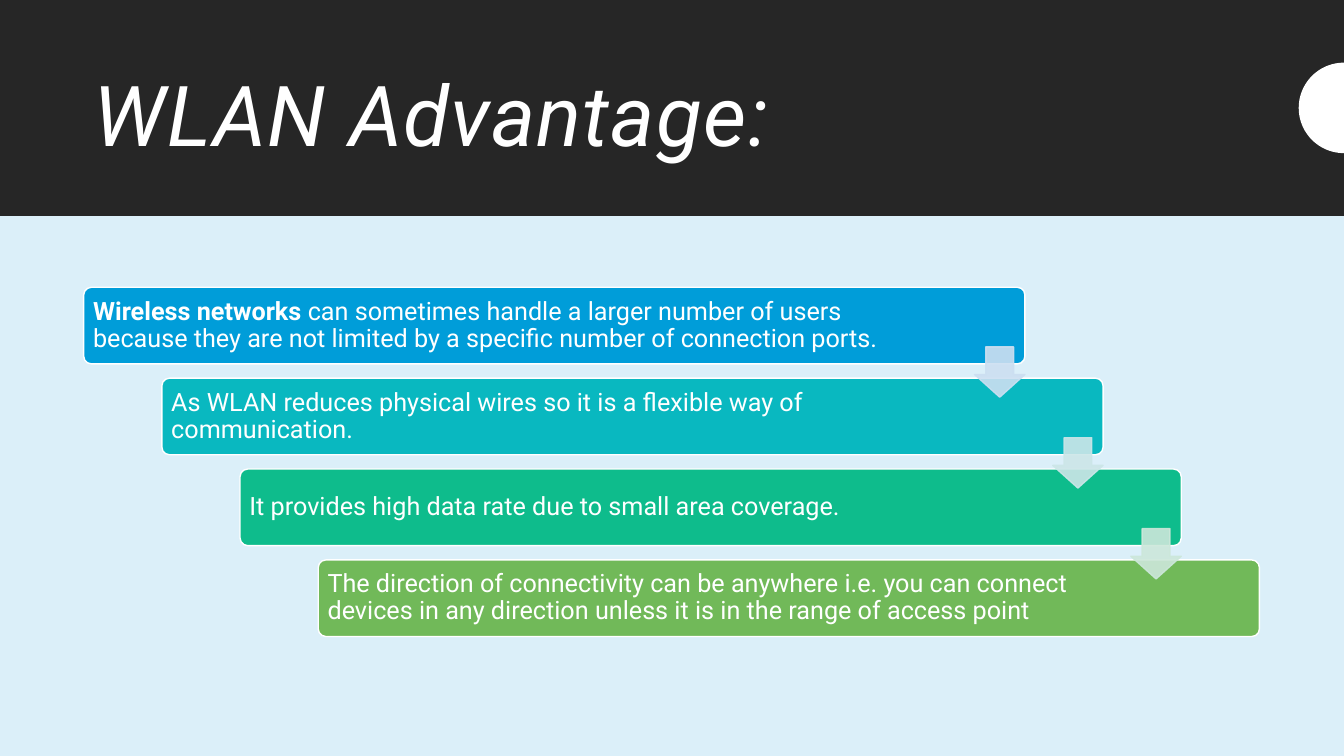
from math import cos, pi, sin

from lxml.etree import SubElement as Sub
from pptx import Presentation as Deck
from pptx.dml.color import RGBColor as Color
from pptx.enum.shapes import MSO_SHAPE as Kind
from pptx.enum.text import MSO_ANCHOR as Anchor, MSO_AUTO_SIZE as Fit, PP_ALIGN as Align
from pptx.oxml.ns import qn
from pptx.util import Cm, Pt

FONT = "Roboto"
WHITE = Color(0xFF, 0xFF, 0xFF)
DARK = Color(0x26, 0x26, 0x26)
PALE = Color(0xDB, 0xEF, 0xF9)
BLUE = Color(0x00, 0x9D, 0xD9)
TEAL = Color(0x09, 0xB8, 0xC0)
MINT = Color(0x0E, 0xBC, 0x8C)
LEAF = Color(0x71, 0xB9, 0x59)
ICE = Color(0xCC, 0xDF, 0xF1)
MIST = Color(0xCC, 0xE6, 0xE8)
FOAM = Color(0xCC, 0xE7, 0xDA)

WIDE, HIGH = 33.87, 19.05
LEFT, TOP = 2.11, 7.24
BAR_W, BAR_H = 23.72, 1.93
STEP_X, STEP_Y = 1.97, 2.29
ARROW, DROP = 1.27, 1.5

BARS = [
    (BLUE, 2.34, [("Wireless networks", True),
                  (" can sometimes handle a larger number of users because they are "
                   "not limited by a specific number of connection ports.", False)]),
    (TEAL, 3.45, [("As WLAN reduces physical wires so it is a flexible way of "
                   "communication.", False)]),
    (MINT, 3.45, [("It provides high data rate due to small area coverage.", False)]),
    (LEAF, 3.45, [("The direction of connectivity can be anywhere i.e. you can connect "
                   "devices in any direction unless it is in the range of access point",
                   False)]),
]


def write(frame, parts, size=18, color=WHITE, italic=False, track=0, pad=None):
    frame.word_wrap = True
    frame.auto_size = Fit.NONE
    frame.vertical_anchor = Anchor.MIDDLE
    if pad:
        (frame.margin_left, frame.margin_top,
         frame.margin_right, frame.margin_bottom) = map(Cm, pad)
    para = frame.paragraphs[0]
    para.alignment = Align.LEFT
    para.line_spacing = 0.9
    for text, bold in parts:
        run = para.add_run()
        run.text = text
        font = run.font
        font.name, font.size, font.bold, font.italic = FONT, Pt(size), bold, italic
        font.color.rgb = color
        if track:
            run._r.get_or_add_rPr().set("spc", str(track))


def paint(shape, fill, line=None):
    shape.shadow.inherit = False
    shape.fill.solid()
    shape.fill.fore_color.rgb = fill
    if line is None:
        shape.line.fill.background()
    else:
        shape.line.color.rgb = line
        shape.line.width = Pt(1)


def add(slide, kind, left, top, width, height, fill, line=None, tune=()):
    shape = slide.shapes.add_shape(kind, Cm(left), Cm(top), Cm(width), Cm(height))
    for spot, value in enumerate(tune):
        shape.adjustments[spot] = value
    paint(shape, fill, line)
    return shape


def fade(shape, alpha):
    for color in shape._element.spPr.iter(qn("a:srgbClr")):
        Sub(color, qn("a:alpha"), val=str(alpha * 1000))


def add_moon(slide, mid, radius, steps=48):
    turns = [pi / 2 + pi * step / steps for step in range(steps + 1)]
    points = [(Cm(WIDE + radius * cos(turn)), Cm(mid - radius * sin(turn)))
              for turn in turns]
    form = slide.shapes.build_freeform(*points[0])
    form.add_line_segments(points[1:], close=True)
    paint(form.convert_to_shape(), WHITE)


def add_title(slide, text):
    title = slide.shapes.title
    title.left, title.top, title.width, title.height = map(Cm, (2.11, 1.17, 29.64, 3.68))
    write(title.text_frame, [(text, False)], size=60, italic=True, track=100)
    tree = slide.shapes._spTree
    tree.remove(title._element)
    tree.append(title._element)


def add_bar(slide, row, fill, right, parts):
    bar = add(slide, Kind.ROUNDED_RECTANGLE, LEFT + row * STEP_X, TOP + row * STEP_Y,
              BAR_W, BAR_H, fill, WHITE, [0.1])
    write(bar.text_frame, parts, pad=(0.18, 0.18, right, 0.18))


def add_arrow(slide, row, tint):
    arrow = add(slide, Kind.DOWN_ARROW, LEFT + row * STEP_X + BAR_W - ARROW,
                TOP + row * STEP_Y + DROP, ARROW, ARROW, tint, tint, [0.55, 0.45])
    fade(arrow, 90)


def main():
    deck = Deck()
    deck.slide_width, deck.slide_height = Cm(WIDE), Cm(HIGH)
    slide = deck.slides.add_slide(deck.slide_layouts[5])
    back = slide.background.fill
    back.solid()
    back.fore_color.rgb = PALE
    add(slide, Kind.RECTANGLE, 0, 0, WIDE, 5.44, DARK)
    add_title(slide, "WLAN Advantage:")
    add_moon(slide, 2.72, 1.14)
    for row, (fill, right, parts) in enumerate(BARS):
        add_bar(slide, row, fill, right, parts)
    for row, tint in enumerate((ICE, MIST, FOAM)):
        add_arrow(slide, row, tint)
    deck.save("out.pptx")


if __name__ == "__main__":
    main()
